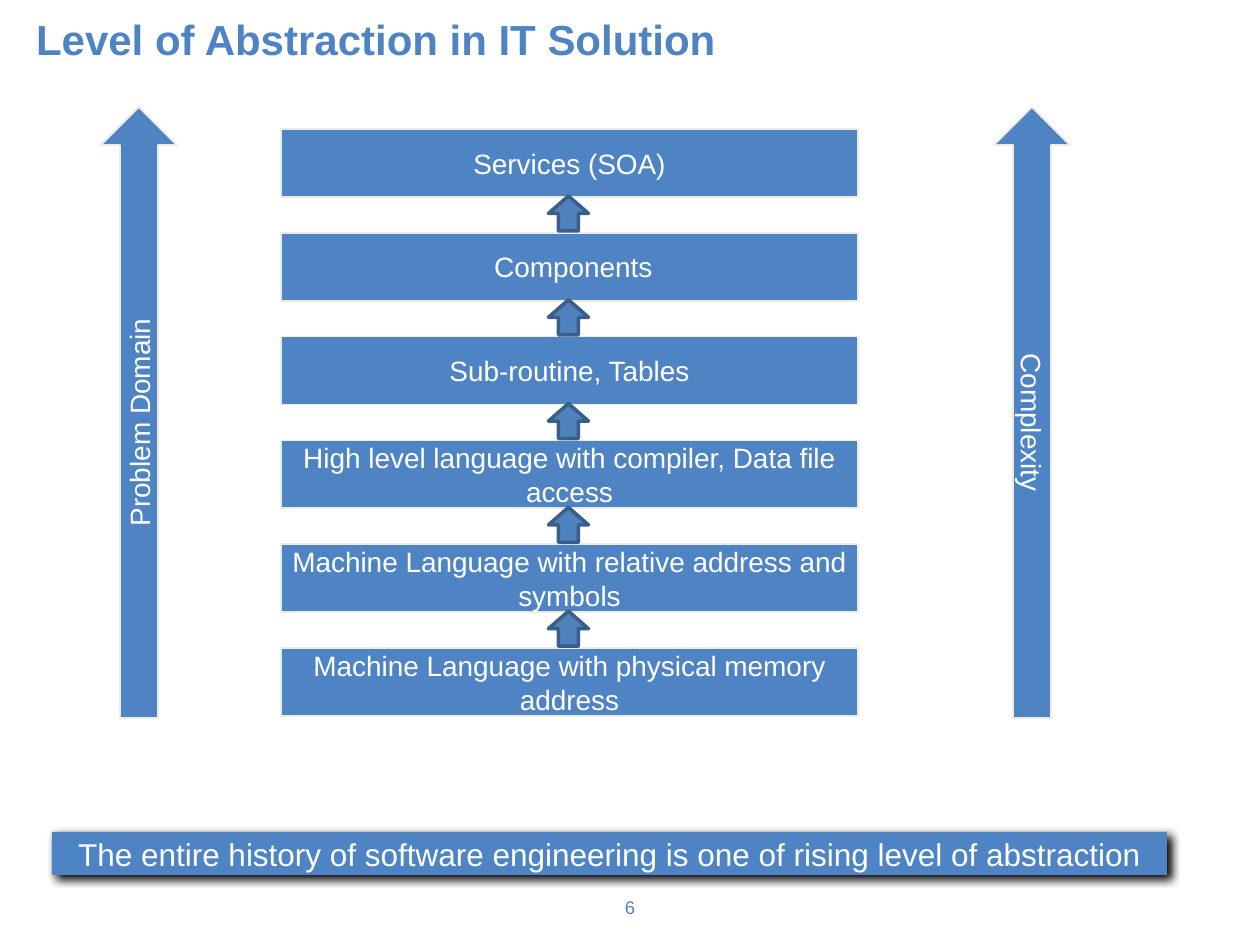
from lxml import etree
from pptx import Presentation
from pptx.dml.color import RGBColor
from pptx.enum.shapes import MSO_SHAPE
from pptx.enum.text import MSO_ANCHOR, MSO_AUTO_SIZE, PP_ALIGN
from pptx.oxml import parse_xml
from pptx.util import Emu, Pt

PX_PER_INCH = 126
BLUE = RGBColor(0x4E, 0x84, 0xC4)
ARROW_BLUE = RGBColor(0x4F, 0x81, 0xBD)
DARK_BLUE = RGBColor(0x39, 0x5E, 0x89)
CREAM = RGBColor(0xEE, 0xEC, 0xE1)
WHITE = RGBColor(0xFF, 0xFF, 0xFF)
LEVELS = [
    "Services (SOA)",
    " Components",
    "Sub-routine, Tables",
    "High level language with compiler, Data file access",
    "Machine Language with relative address and symbols",
    "Machine Language with physical memory address",
]
DRAWING_NS = "http://schemas.openxmlformats.org/drawingml/2006/main"
SHADOW_XML = (
    f'<a:effectLst xmlns:a="{DRAWING_NS}">'
    '<a:outerShdw blurRad="63500" dist="36830" dir="2700000" algn="tl" rotWithShape="0">'
    '<a:srgbClr val="000000"/></a:outerShdw></a:effectLst>'
)


def px(length):
    return Emu(round(length * 914400 / PX_PER_INCH))


def box_emu(box):
    return [px(length) for length in box]


def set_text(shape, text, size=16, color=WHITE, bold=False, align=PP_ALIGN.CENTER,
             anchor=MSO_ANCHOR.MIDDLE, margins=(5, 5), line_spacing=None):
    frame = shape.text_frame
    frame.word_wrap = True
    frame.auto_size = MSO_AUTO_SIZE.NONE
    frame.vertical_anchor = anchor
    frame.margin_left = frame.margin_right = px(margins[0])
    frame.margin_top = frame.margin_bottom = px(margins[1])
    paragraph = frame.paragraphs[0]
    paragraph.alignment = align
    paragraph.line_spacing = line_spacing
    run = paragraph.add_run()
    run.text = text
    run.font.name = "Arial"
    run.font.size = Pt(size)
    run.font.bold = bold
    run.font.color.rgb = color


def add_filled_shape(slide, kind, box, fill=BLUE, line=CREAM, line_width=1):
    shape = slide.shapes.add_shape(kind, *box_emu(box))
    shape.shadow.inherit = False
    shape.fill.solid()
    shape.fill.fore_color.rgb = fill
    if line is None:
        shape.line.fill.background()
    else:
        shape.line.color.rgb = line
        shape.line.width = Pt(line_width)
    return shape


def add_title(slide, box, text):
    title = slide.shapes.title
    title.left, title.top, title.width, title.height = box_emu(box)
    set_text(title, text, size=24, color=BLUE, bold=True, align=PP_ALIGN.LEFT,
             anchor=MSO_ANCHOR.TOP, margins=(13, 6), line_spacing=1.15)


def add_level_stack(slide, box, levels, level_height=68):
    left, top, width, height = box
    pitch = (height - level_height) / (len(levels) - 1)
    for index, level in enumerate(levels):
        level_box = (left, top + index * pitch, width, level_height)
        set_text(add_filled_shape(slide, MSO_SHAPE.RECTANGLE, level_box), level)
    arrow_width, arrow_height = 40, 35
    for index in range(len(levels) - 1):
        arrow_box = (left + (width - arrow_width) / 2 - 1,
                     top + index * pitch + level_height - 1, arrow_width, arrow_height)
        add_filled_shape(slide, MSO_SHAPE.UP_ARROW, arrow_box,
                         fill=ARROW_BLUE, line=DARK_BLUE, line_width=2)


def add_axis_arrow(slide, box, label, rotation):
    """Tall up arrow with a label turned to run along its shaft."""
    left, top, width, height = box
    add_filled_shape(slide, MSO_SHAPE.UP_ARROW, box)
    label_length, label_height = 592, 38
    center_x, center_y = left + width / 2, top + height / 2 + 10
    label_box = (center_x - label_length / 2, center_y - label_height / 2,
                 label_length, label_height)
    text_box = slide.shapes.add_textbox(*box_emu(label_box))
    text_box.rotation = rotation
    set_text(text_box, label)


def add_conclusion(slide, box, text):
    banner = add_filled_shape(slide, MSO_SHAPE.RECTANGLE, box, line=None)
    properties = banner.element.spPr
    properties.replace(properties.find(f"{{{DRAWING_NS}}}effectLst"), parse_xml(SHADOW_XML))
    set_text(banner, text, size=18, margins=(13, 6))


def add_page_number(slide, box, number):
    set_text(slide.shapes.add_textbox(*box_emu(box)), number, size=10.5,
             color=BLUE, margins=(0, 0))


def main():
    presentation = Presentation()
    presentation.slide_width, presentation.slide_height = px(1260), px(945)
    slide = presentation.slides.add_slide(presentation.slide_layouts[5])
    add_title(slide, (23, 0, 1163, 82), "Level of Abstraction in IT Solution")
    add_axis_arrow(slide, (101, 107, 76, 611), "Problem Domain", 270)
    add_axis_arrow(slide, (994, 107, 76, 611), "Complexity", 90)
    add_level_stack(slide, (281, 129, 577, 587), LEVELS)
    add_conclusion(slide, (52, 832, 1115, 43),
                   "The entire history of software engineering is one of rising level of abstraction")
    add_page_number(slide, (584, 883, 92, 49), "6")
    presentation.save("out.pptx")


if __name__ == "__main__":
    main()
